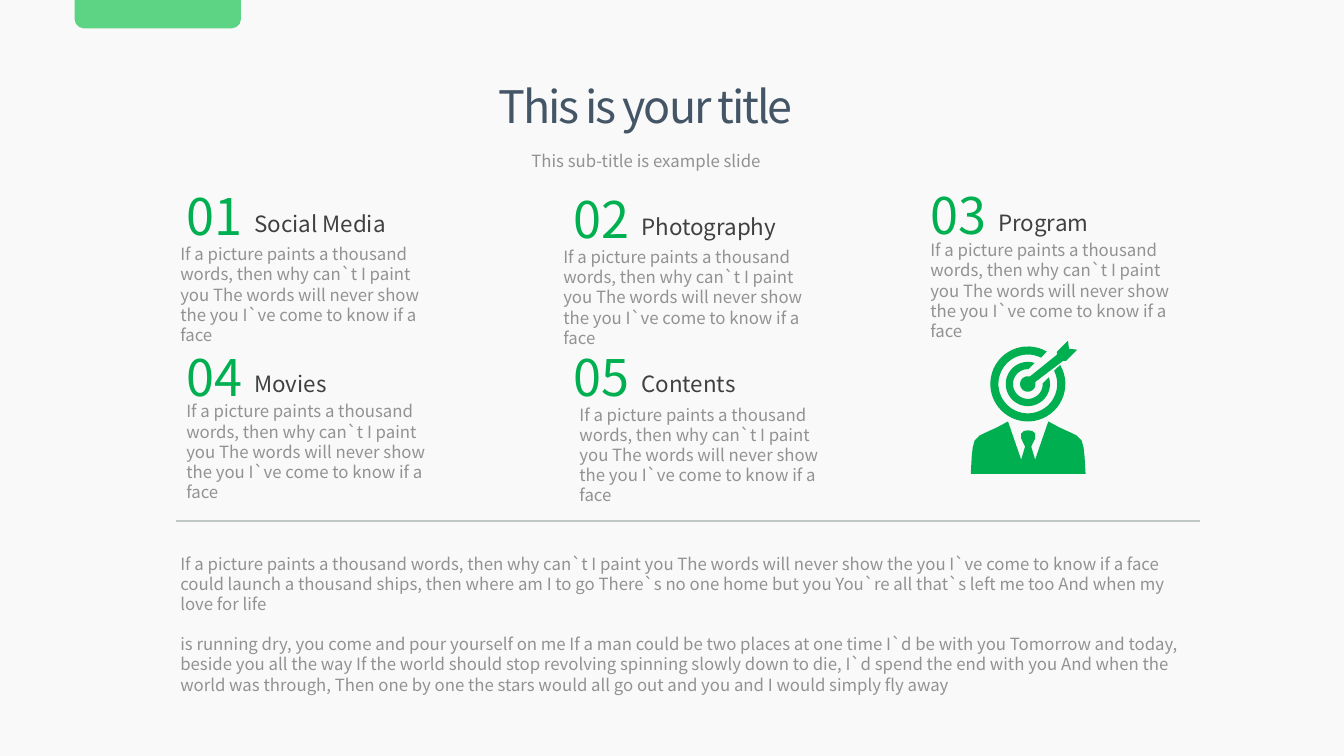
from math import cos, radians, sin

from lxml.etree import SubElement
from pptx import Presentation
from pptx.dml.color import RGBColor
from pptx.enum.shapes import MSO_CONNECTOR, MSO_SHAPE
from pptx.enum.text import MSO_AUTO_SIZE, PP_ALIGN
from pptx.oxml.ns import qn
from pptx.util import Pt

# Content
TITLE = "This is your title"
SUBTITLE = "This sub-title is example slide"
TOPIC_TEXT = ("If a picture paints a thousand words, then why can`t I paint you "
              "The words will never show the you I`ve come to know if a face")
# number, heading, left, top, body offset from the number (x, y)
TOPICS = [
    ("01", "Social Media", 126, 128.9, -4.3, 41.8),
    ("02", "Photography", 402.5, 131, -7.2, 41.8),
    ("03", "Program", 657.4, 128.2, 0, 39.6),
    ("04", "Movies", 126, 243.4, 0, 39.6),
    ("05", "Contents", 402.5, 243.4, 4.3, 41.8),
]
CLOSING = [
    TOPIC_TEXT + " could launch a thousand ships, then where am I to go There`s no one "
    "home but you You`re all that`s left me too And when my love for life",
    "is running dry, you come and pour yourself on me If a man could be two places at "
    "one time I`d be with you Tomorrow and today, beside you all the way If the world "
    "should stop revolving spinning slowly down to die, I`d spend the end with you And "
    "when the world was through, Then one by one the stars would all go out and you and "
    "I would simply fly away",
]

# Formats
FONT = "Noto Sans CJK KR"
GREEN = "00B050"
FORMATS = {
    "title": {"size": 32, "color": "445566"},
    "number": {"size": 36, "color": GREEN},
    "heading": {"size": 16, "color": "404040"},
    "body": {"size": 12, "color": "929292"},
}

# Icon geometry: the target, then the right half of the suit (x from its axis)
TARGET = (734.2, 274.3)
RINGS = [  # outer radius, inner radius, half gap outside, half gap inside
    (26.8, 21, 14.5, 18.5),
    (15.8, 10.6, 27, 43),
]
BULLSEYE_RADIUS = 5.5
DART = [(755, 253.4), (755, 251.3), (762.9, 243.4), (763.6, 249.1),
        (769.4, 249.8), (761.5, 257.8), (759.4, 257.8)]
SUIT_AXIS = 734.4
HALF_SUIT = [(0, 307.4), (2.9, 307.8), (5, 309.6), (5, 313.2), (2.2, 319), (5, 328.3),
             (14.4, 301), (22.3, 305.3), (30.2, 308.9), (34.6, 311), (38.2, 314.6),
             (39.6, 319.7), (40.3, 326.2), (41, 338.4)]

presentation = Presentation()
presentation.slide_width = Pt(960)
presentation.slide_height = Pt(540)
slide = presentation.slides.add_slide(presentation.slide_layouts[6])


def color(hex_value):
    return RGBColor.from_string(hex_value)


def paint(shape, hex_value):
    shape.shadow.inherit = False
    shape.fill.solid()
    shape.fill.fore_color.rgb = color(hex_value)
    shape.line.fill.background()


def add_text(lines, style, left, top, width, height, alignment=PP_ALIGN.LEFT, gap=0, spacing=None):
    box = slide.shapes.add_textbox(Pt(left), Pt(top), Pt(width), Pt(height))
    frame = box.text_frame
    frame.word_wrap = True
    frame.auto_size = MSO_AUTO_SIZE.SHAPE_TO_FIT_TEXT
    for index, line in enumerate(lines):
        paragraph = frame.paragraphs[0] if index == 0 else frame.add_paragraph()
        paragraph.alignment = alignment
        paragraph.space_before = Pt(gap if index else 0)
        run = paragraph.add_run()
        run.text = line
        font_values = {"name": FONT, "size": Pt(FORMATS[style]["size"])}
        for name, value in font_values.items():
            setattr(run.font, name, value)
        run.font.color.rgb = color(FORMATS[style]["color"])
        properties = run.font._element
        SubElement(properties, qn("a:ea")).set("typeface", FONT)
        if spacing is not None:
            properties.set("spc", str(spacing))


def add_outline(points):
    builder = slide.shapes.build_freeform(Pt(points[0][0]), Pt(points[0][1]))
    builder.add_line_segments([(Pt(x), Pt(y)) for x, y in points[1:]], close=True)
    paint(builder.convert_to_shape(), GREEN)


def arc(radius, half_gap, steps=48):
    """Points around the target, leaving a gap towards the upper right."""
    sweep = 360 - 2 * half_gap
    angles = [radians(45 + half_gap + sweep * step / steps) for step in range(steps + 1)]
    return [(TARGET[0] + radius * cos(angle), TARGET[1] - radius * sin(angle))
            for angle in angles]


# Background and tab
slide.background.fill.solid()
slide.background.fill.fore_color.rgb = color("F9F9F9")
tab = slide.shapes.add_shape(MSO_SHAPE.ROUND_2_SAME_RECTANGLE, Pt(53.3), 0, Pt(118.8), Pt(20.2))
tab.adjustments[0] = 0
tab.adjustments[1] = 0.32
paint(tab, "5CD484")

# Title and subtitle
add_text([TITLE], "title", 319, 52.6, 284.4, 46.1, PP_ALIGN.CENTER, spacing=-150)
add_text([SUBTITLE], "body", 336.2, 104.4, 250.6, 21.6, PP_ALIGN.CENTER)

# Topics
for number, heading, left, top, body_x, body_y in TOPICS:
    add_text([number], "number", left, top, 64, 51.1)
    add_text([heading], "heading", left + 48.6, top + 17.5, 146, 26.6)
    add_text([TOPIC_TEXT], "body", left + body_x, top + body_y, 200.2, 65.5)

# Divider and closing text
divider = slide.shapes.add_connector(MSO_CONNECTOR.STRAIGHT, Pt(126), Pt(372.2), Pt(857.5), Pt(372.2))
divider.line.color.rgb = color("BFC7C7")
divider.line.width = Pt(1.5)
SubElement(divider._element.spPr, qn("a:effectLst"))
add_text(CLOSING, "body", 121.7, 391.7, 735.8, 94.3, gap=14.4)

# Target-headed businessman
add_outline([(SUIT_AXIS + x, y) for x, y in HALF_SUIT]
            + [(SUIT_AXIS - x, y) for x, y in reversed(HALF_SUIT[1:])])
for outer, inner, outer_gap, inner_gap in RINGS:
    add_outline(arc(outer, outer_gap) + arc(inner, inner_gap)[::-1])
add_outline(arc(BULLSEYE_RADIUS, 30) + DART[-1:] + DART[-2:0:-1] + DART[:1])

presentation.save("out.pptx")
